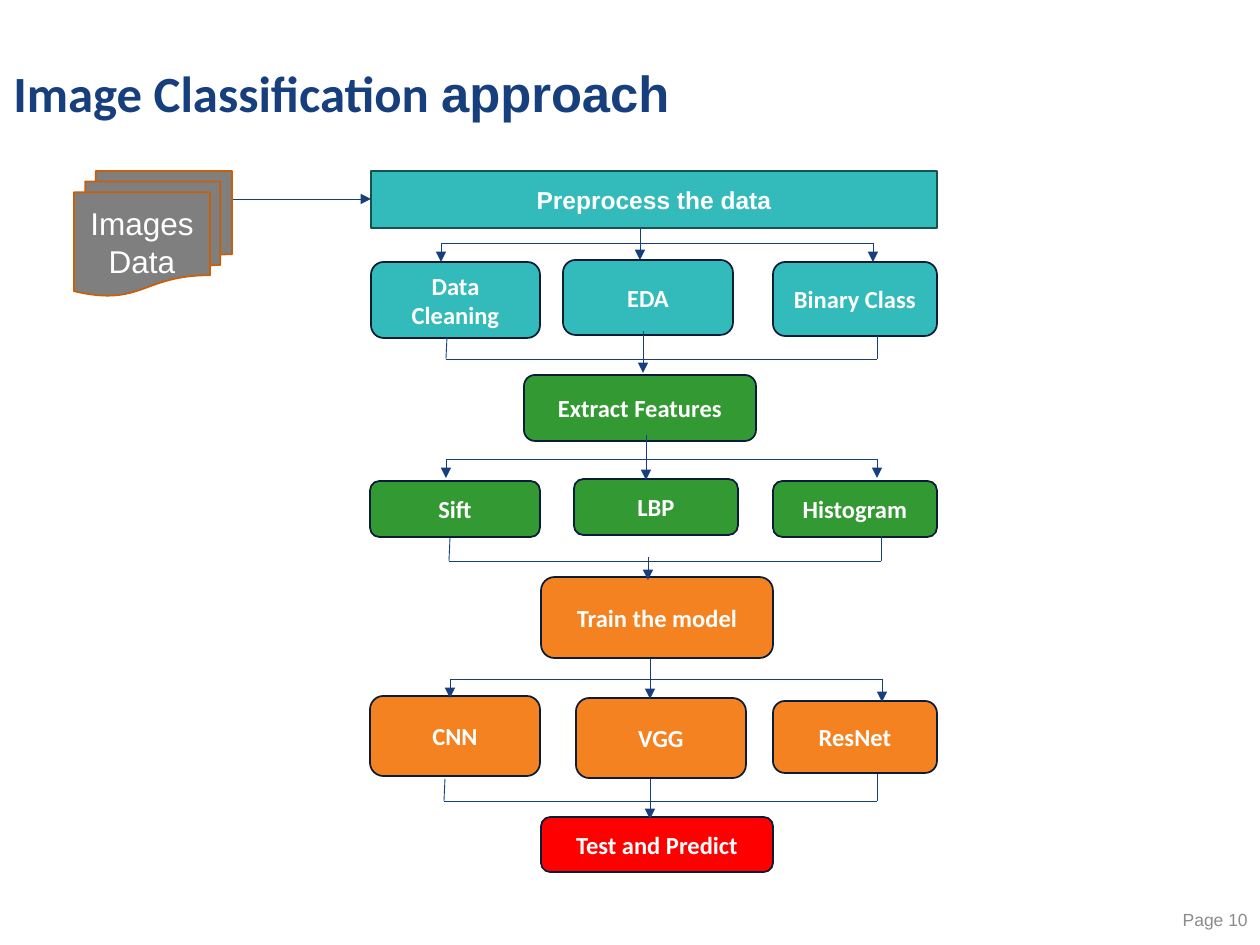
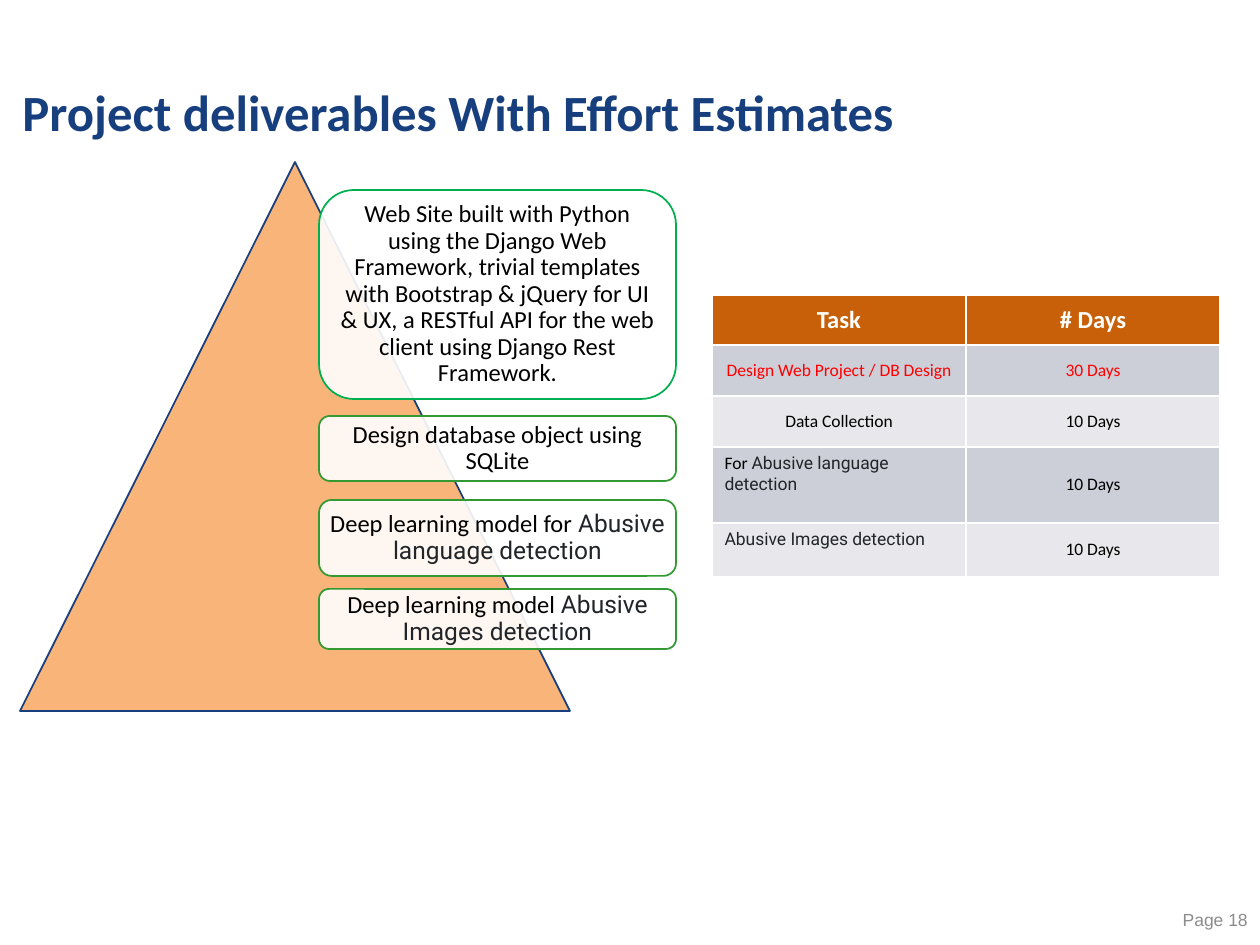
from lxml import etree
from pptx import Presentation, util as u
from pptx.dml.color import RGBColor
from pptx.enum import shapes, text
from pptx.oxml.ns import qn

PX = u.Inches(1) / 126
HUE = dict(navy="173F7E", ink="0A1C37", teal="33BBBC", pine="165252",
           green="339933", lime="00B050", gold="F58220", peach="F9B479",
           rust="C76009", red="FF0000", gray="7F7F7F", mute="8C8C8C",
           white="FFFFFF", black="000000", coal="212529",
           dark="CCCFD8", pale="E8E8EC")
RGB = {name: RGBColor.from_string(code) for name, code in HUE.items()}
KIND = shapes.MSO_SHAPE
SIDE = text.PP_ALIGN
MID, TOP = text.MSO_ANCHOR.MIDDLE, text.MSO_ANCHOR.TOP


def write(frame, words, size, hue, face="Calibri", bold=False,
          side=SIDE.CENTER, lead=None, tail=None, anchor=MID):
    """Fill a frame with one paragraph; tail is (words, face, hue) of a last run."""
    frame.word_wrap = True
    frame.vertical_anchor = anchor
    para = frame.paragraphs[0]
    para.alignment = side
    para.line_spacing = lead
    font = para.font
    font.size, font.name, font.bold = u.Pt(size), face, bold
    font.color.rgb = RGB[hue]
    if words:
        para.add_run().text = words
    if tail:
        run = para.add_run()
        run.text, run.font.name = tail[:2]
        run.font.color.rgb = RGB[tail[2]]


def draw(slide, kind, spot, fill, edge):
    shape = slide.shapes.add_shape(kind, *[round(n * PX) for n in spot])
    shape.shadow.inherit = False
    shape.fill.solid()
    shape.fill.fore_color.rgb = RGB[fill]
    shape.line.color.rgb = RGB[edge]
    shape.line.width = u.Pt(1)
    return shape


deck = Presentation()
deck.slide_width, deck.slide_height = u.Inches(10), u.Inches(7.5)

# Title and page number on each slide
pages = []
for spot, words, tail, page in [
    ((1, 55, 966, 83), "Image Classification ", ("approach", "Arial", "navy"), 10),
    ((10, 67, 1063, 96), "Project deliverables With Effort Estimates", None, 18),
]:
    slide = deck.slides.add_slide(deck.slide_layouts[6])
    head = slide.shapes.add_textbox(*[round(n * PX) for n in spot])
    write(head.text_frame, words, 29, "navy", bold=True, side=SIDE.LEFT,
          lead=0.9, tail=tail)
    foot = slide.shapes.add_textbox(*[round(n * PX) for n in (1102, 895, 158, 50)])
    write(foot.text_frame, f"Page {page}", 10, "mute", "Arial", side=SIDE.RIGHT)
    pages.append(slide)
flow, plan = pages

# Flow chart: source, first step, then the rounded steps
stack = draw(flow, KIND.FLOWCHART_MULTIDOCUMENT, (74, 171, 158, 125), "gray", "rust")
write(stack.text_frame, "Images Data", 18, "white", "Arial")
prep = draw(flow, KIND.RECTANGLE, (371, 171, 566, 57), "teal", "pine")
write(prep.text_frame, "Preprocess the data", 14, "white", "Arial", True)

for words, fill, *spot in [
    ("Data Cleaning", "teal", 371, 262, 169, 76),
    ("EDA", "teal", 563, 260, 170, 75),
    ("Binary Class", "teal", 773, 262, 164, 74),
    ("Extract Features", "green", 524, 375, 232, 66),
    ("Sift", "green", 370, 481, 170, 56),
    ("LBP", "green", 574, 479, 164, 56),
    ("Histogram", "green", 773, 481, 164, 56),
    ("Train the model", "gold", 541, 577, 232, 81),
    ("CNN", "gold", 370, 696, 170, 80),
    ("VGG", "gold", 576, 698, 170, 80),
    ("ResNet", "gold", 773, 701, 164, 72),
    ("Test and Predict", "red", 541, 817, 232, 55),
]:
    step = draw(flow, KIND.ROUNDED_RECTANGLE, spot, fill, "ink")
    write(step.text_frame, words, 14, "white", bold=True)

# Each line is x1, y1, x2, y2, arrow
lines = [(233, 199, 371, 199, True)]
# Fans out: bar ends and height, tips of both drops, middle arrow
for left, right, bar, ltip, rtip, mid, top, tip in [
    (441, 873, 243, 262, 262, 640, 227, 260),
    (446, 877, 459, 478, 478, 646, 435, 480),
    (450, 882, 679, 698, 702, 650, 659, 699),
]:
    lines += [(left, bar, right, bar, False), (left, bar, left, ltip, True),
              (right, bar, right, rtip, True), (mid, top, mid, tip, True)]
# Fans in: bar ends and height, tops of both legs, middle arrow
for left, right, bar, ltop, rtop, mid, top, tip in [
    (446, 877, 359, 338, 336, 643, 331, 373),
    (449, 881, 561, 538, 536, 648, 557, 580),
    (444, 877, 801, 779, 774, 650, 779, 819),
]:
    lines += [(left, bar, right, bar, False), (left + 1, ltop, left, bar, False),
              (right, rtop, right, bar, False), (mid, top, mid, tip, True)]

for *ends, arrow in lines:
    line = flow.shapes.add_connector(shapes.MSO_CONNECTOR.STRAIGHT,
                                     *[round(n * PX) for n in ends])
    line.line.color.rgb = RGB["navy"]
    line.line.width = u.Pt(0.5)
    if arrow:
        etree.SubElement(line.line._get_or_add_ln(), qn("a:tailEnd"), type="triangle")
    etree.SubElement(line._element.spPr, qn("a:effectLst"))

# Deliverables on the pyramid
draw(plan, KIND.ISOSCELES_TRIANGLE, (20, 162, 550, 549), "peach", "navy")
for top, tall, edge, words, tail in [
    (190, 209, "lime", "Web Site built with Python using the Django Web Framework, "
     "trivial templates with Bootstrap & jQuery for UI & UX, a RESTful API "
     "for the web client using Django Rest Framework.", None),
    (416, 65, "green", "Design database object using SQLite", None),
    (500, 76, "green", "Deep learning model for ",
     ("Abusive language detection", "Roboto", "coal")),
    (589, 60, "green", "Deep learning model ",
     ("Abusive Images detection", "Roboto", "coal")),
]:
    card = draw(plan, KIND.ROUNDED_RECTANGLE, (319, top, 357, tall), "white", edge)
    tint = card._element.spPr.find(qn("a:solidFill"))[0]
    etree.SubElement(tint, qn("a:alpha"), val="90000")
    frame = card.text_frame
    frame.margin_left = frame.margin_right = u.Inches(0.06)
    frame.margin_top = frame.margin_bottom = u.Inches(0.06)
    write(frame, words, 14, "black", lead=0.9, tail=tail)

# Effort table
rows = [
    (50, "rust", "white", "Task", "# Days", None),
    (51, "dark", "red", "Design Web Project / DB Design", "30 Days", None),
    (51, "pale", "black", "Data Collection", "10 Days", None),
    (76, "dark", "black", "For ", "10 Days",
     ("Abusive language detection", "Roboto", "coal")),
    (54, "pale", "black", "", "10 Days",
     ("Abusive Images detection", "Roboto", "coal")),
]
spot = (712, 295, 508, sum(row[0] for row in rows))
grid = plan.shapes.add_table(len(rows), 2, *[round(n * PX) for n in spot]).table
grid.horz_banding = False
for r, (tall, fill, hue, task, days, tail) in enumerate(rows):
    grid.rows[r].height = round(tall * PX)
    for c, words in enumerate((task, days)):
        cell = grid.cell(r, c)
        cell.fill.solid()
        cell.fill.fore_color.rgb = RGB[fill]
        more = tail if c == 0 else None
        write(cell.text_frame, words, 10 if r else 14, hue, bold=r == 0,
              side=SIDE.LEFT if more else SIDE.CENTER, tail=more)
        cell.vertical_anchor = TOP if more else MID

deck.save("out.pptx")
